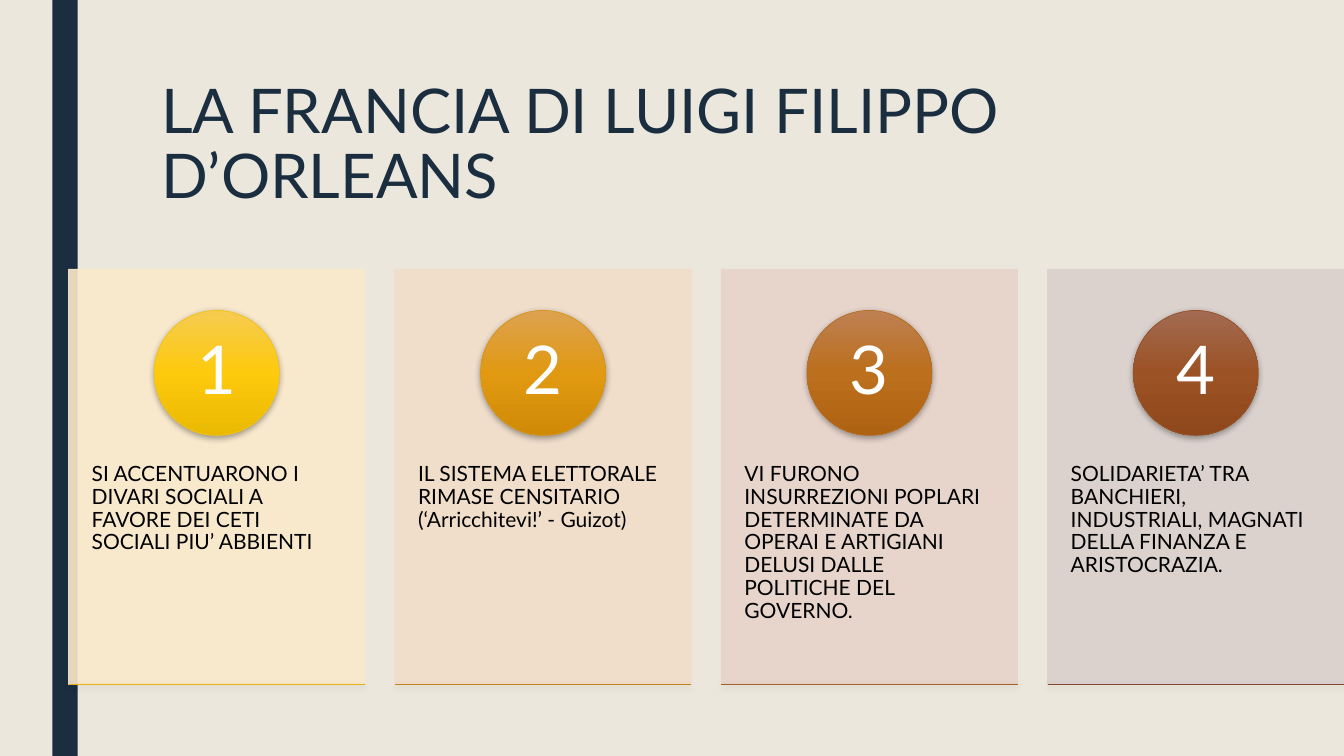
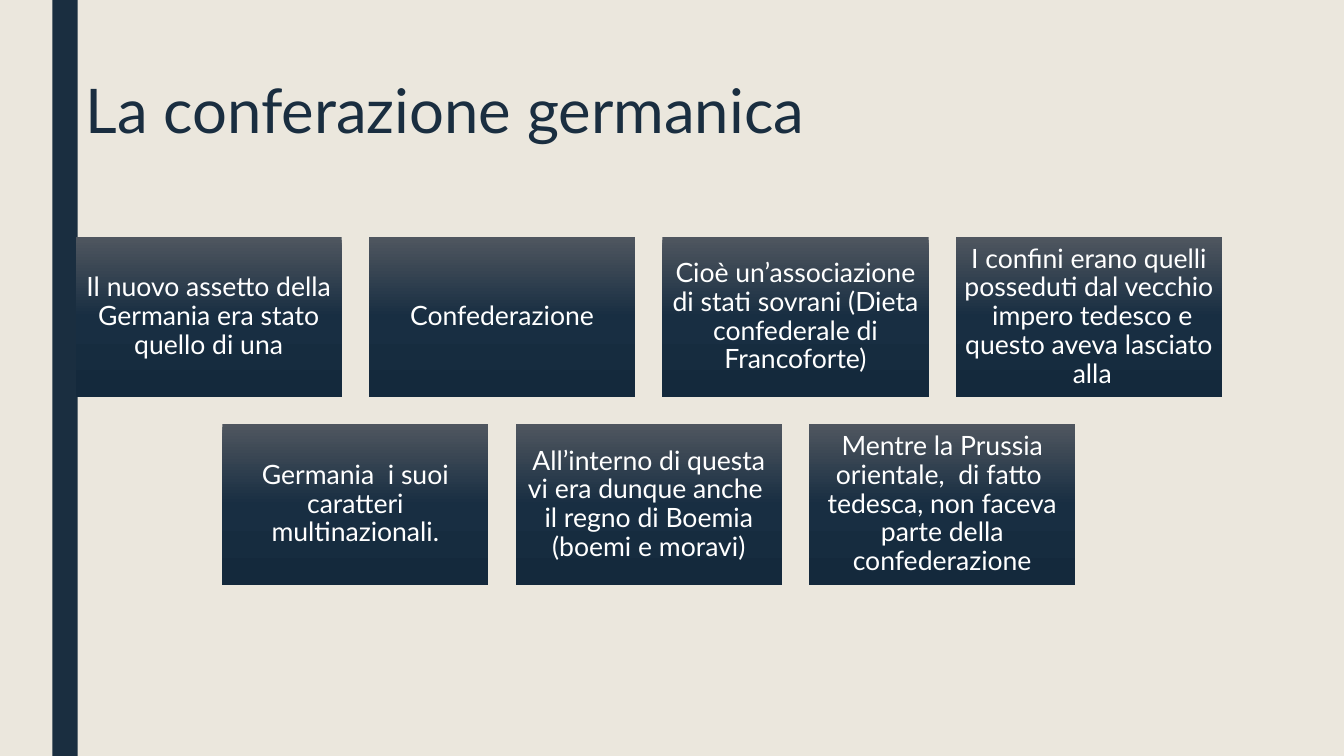
from copy import deepcopy

from lxml import etree
from pptx import Presentation
from pptx.dml.color import RGBColor
from pptx.enum.shapes import MSO_CONNECTOR, MSO_SHAPE
from pptx.enum.text import MSO_ANCHOR, PP_ALIGN
from pptx.oxml.ns import qn
from pptx.util import Inches, Pt

RECT, OVAL = MSO_SHAPE.RECTANGLE, MSO_SHAPE.OVAL
LEFT, CENTER = PP_ALIGN.LEFT, PP_ALIGN.CENTER
TOP, MIDDLE = MSO_ANCHOR.TOP, MSO_ANCHOR.MIDDLE

FONT = "Lato"
SAND, NAVY, WHITE, BLACK = "EBE7DD", "1A2E40", "FFFFFF", "000000"
NAVY_GRADIENT = ("4F565F", "182E42", "14293C")
SLIDE_W, SLIDE_H = 13.33, 7.5

FRANCE_TITLE = "LA FRANCIA DI LUIGI FILIPPO D’ORLEANS"
# text, card colour, circle gradient, circle outline, base line colour
FRANCE_CARDS = [
    ("SI ACCENTUARONO I DIVARI SOCIALI A FAVORE DEI CETI SOCIALI PIU’ ABBIENTI",
     "FAEACC", ("F6CB51", "FDCA0D", "EAB902"), "F2C418", "E9AE14"),
    ("IL SISTEMA ELETTORALE RIMASE CENSITARIO (‘Arricchitevi!’ - Guizot)",
     "F1DECA", ("DDA251", "E09911", "D08A06"), "D7961A", "C6811F"),
    ("VI FURONO INSURREZIONI POPLARI DETERMINATE DA OPERAI E ARTIGIANI "
     "DELUSI DALLE POLITICHE DEL GOVERNO.",
     "E7D4CB", ("BE8153", "BC6F1C", "AE6312"), "B56F23", "A56027"),
    ("SOLIDARIETA’ TRA BANCHIERI, INDUSTRIALI, MAGNATI DELLA FINANZA E "
     "ARISTOCRAZIA.",
     "DAD0CD", ("A36B53", "9B5224", "8F481C"), "96532A", "87492C"),
]

GERMANY_TITLE = "La conferazione germanica"
GERMANY_ROWS = [
    ["Il nuovo assetto della Germania era stato quello di una",
     "Confederazione",
     "Cioè un’associazione di stati sovrani (Dieta confederale di Francoforte)",
     "I confini erano quelli posseduti dal vecchio  impero tedesco e questo "
     "aveva lasciato  alla"],
    ["Germania  i suoi caratteri multinazionali.",
     "All’interno di questa vi era dunque anche  il regno di Boemia "
     "(boemi e moravi)",
     "Mentre la Prussia orientale,  di fatto  tedesca, non faceva parte della "
     "confederazione"],
]


def rgb(color):
    return RGBColor.from_string(color)


def set_effects(sp, shadow=False):
    """Replace the theme shadow by a soft drop shadow, or by none."""
    effects = etree.SubElement(sp._element.spPr, qn("a:effectLst"))
    if shadow:
        outer = etree.SubElement(effects, qn("a:outerShdw"), blurRad=str(Pt(4.5)),
                                 dist=str(Pt(1.5)), dir="5400000", rotWithShape="0")
        black = etree.SubElement(outer, qn("a:srgbClr"), val=BLACK)
        etree.SubElement(black, qn("a:alpha"), val="35000")


def set_alpha(sp, percent):
    """Make the solid fill and outline of a shape partly transparent."""
    for color in sp._element.spPr.iter(qn("a:srgbClr")):
        etree.SubElement(color, qn("a:alpha"), val=str(percent * 1000))


def set_gradient(sp, colors):
    """Fill from top to bottom with three evenly spaced colours."""
    sp.fill.gradient()
    sp.fill.gradient_angle = 270
    stops = sp._element.spPr.find(".//" + qn("a:gsLst"))
    stops.append(deepcopy(stops[0]))
    for i, (stop, color) in enumerate(zip(sp.fill.gradient_stops, colors)):
        stop.position = i / 2
        stop.color.rgb = rgb(color)


def add_shape(s, kind, x, y, w, h, fill, line=None, shadow=False):
    """Draw a shape; fill is one colour or a tuple of gradient colours."""
    sp = s.shapes.add_shape(kind, Inches(x), Inches(y), Inches(w), Inches(h))
    if isinstance(fill, tuple):
        set_gradient(sp, fill)
    else:
        sp.fill.solid()
        sp.fill.fore_color.rgb = rgb(fill)
    if line:
        sp.line.color.rgb = rgb(line)
        sp.line.width = Pt(0.5)
    else:
        sp.line.fill.background()
    set_effects(sp, shadow)
    return sp


def write(sp, text, size, color, insets, align=CENTER, anchor=MIDDLE, spacing=0.9):
    """Set the text of a shape; insets are (horizontal, top, bottom) in inches."""
    tf = sp.text_frame
    tf.word_wrap = True
    tf.vertical_anchor = anchor
    side, top, bottom = insets
    tf.margin_left = tf.margin_right = Inches(side)
    tf.margin_top, tf.margin_bottom = Inches(top), Inches(bottom)
    p = tf.paragraphs[0]
    p.text = text
    p.alignment = align
    p.line_spacing = spacing
    p.font.name = FONT
    p.font.size = Pt(size)
    p.font.color.rgb = rgb(color)


def add_slide(prs, title, x, w, h):
    """Add a slide with the navy band and a title at the given place."""
    s = prs.slides.add_slide(prs.slide_layouts[6])
    s.background.fill.solid()
    s.background.fill.fore_color.rgb = rgb(SAND)
    add_shape(s, RECT, 0.52, 0, 0.25, SLIDE_H, NAVY)
    box = s.shapes.add_textbox(Inches(x), Inches(0.75), Inches(w), Inches(h))
    write(box, title, 44, NAVY, (0.1, 0.05, 0.05), LEFT, TOP, 0.89)
    return s


def build_france(prs):
    s = add_slide(prs, FRANCE_TITLE, 1.5, 10.5, 1.62)
    left, top, w, h, circle = 0.68, 2.67, 2.94, 4.12, 1.24
    step = (SLIDE_W - left - w) / (len(FRANCE_CARDS) - 1)
    for i, (text, fill, gradient, outline, base) in enumerate(FRANCE_CARDS):
        x = left + i * step
        card = add_shape(s, RECT, x, top, w, h, fill, fill)
        set_alpha(card, 90)
        write(card, text, 15, BLACK, (0.23, 1.93, 0.44), LEFT, TOP)

        number = add_shape(s, OVAL, x + (w - circle) / 2, top + 0.41, circle, circle,
                           gradient, outline, shadow=True)
        write(number, str(i + 1), 48, WHITE, (0.1, 0.01, 0.01))

        bottom = Inches(top + h)
        rule = s.shapes.add_connector(MSO_CONNECTOR.STRAIGHT, Inches(x), bottom,
                                      Inches(x + w), bottom)
        rule.line.color.rgb = rgb(base)
        rule.line.width = Pt(0.5)
        set_effects(rule, shadow=True)


def build_germany(prs):
    s = add_slide(prs, GERMANY_TITLE, 0.75, 11.37, 1.26)
    left, top, w, h, gap = 0.75, 2.35, 2.64, 1.59, 0.27
    step = w + gap
    longest = max(len(row) for row in GERMANY_ROWS)
    for r, row in enumerate(GERMANY_ROWS):
        row_left = left + (longest - len(row)) * step / 2
        for c, text in enumerate(row):
            box = add_shape(s, RECT, row_left + c * step, top + r * (h + gap), w, h,
                            NAVY_GRADIENT)
            write(box, text, 19, WHITE, (0.08, 0.08, 0.08))


def main():
    prs = Presentation()
    prs.slide_width, prs.slide_height = Inches(SLIDE_W), Inches(SLIDE_H)
    build_france(prs)
    build_germany(prs)
    prs.save("out.pptx")


if __name__ == "__main__":
    main()
